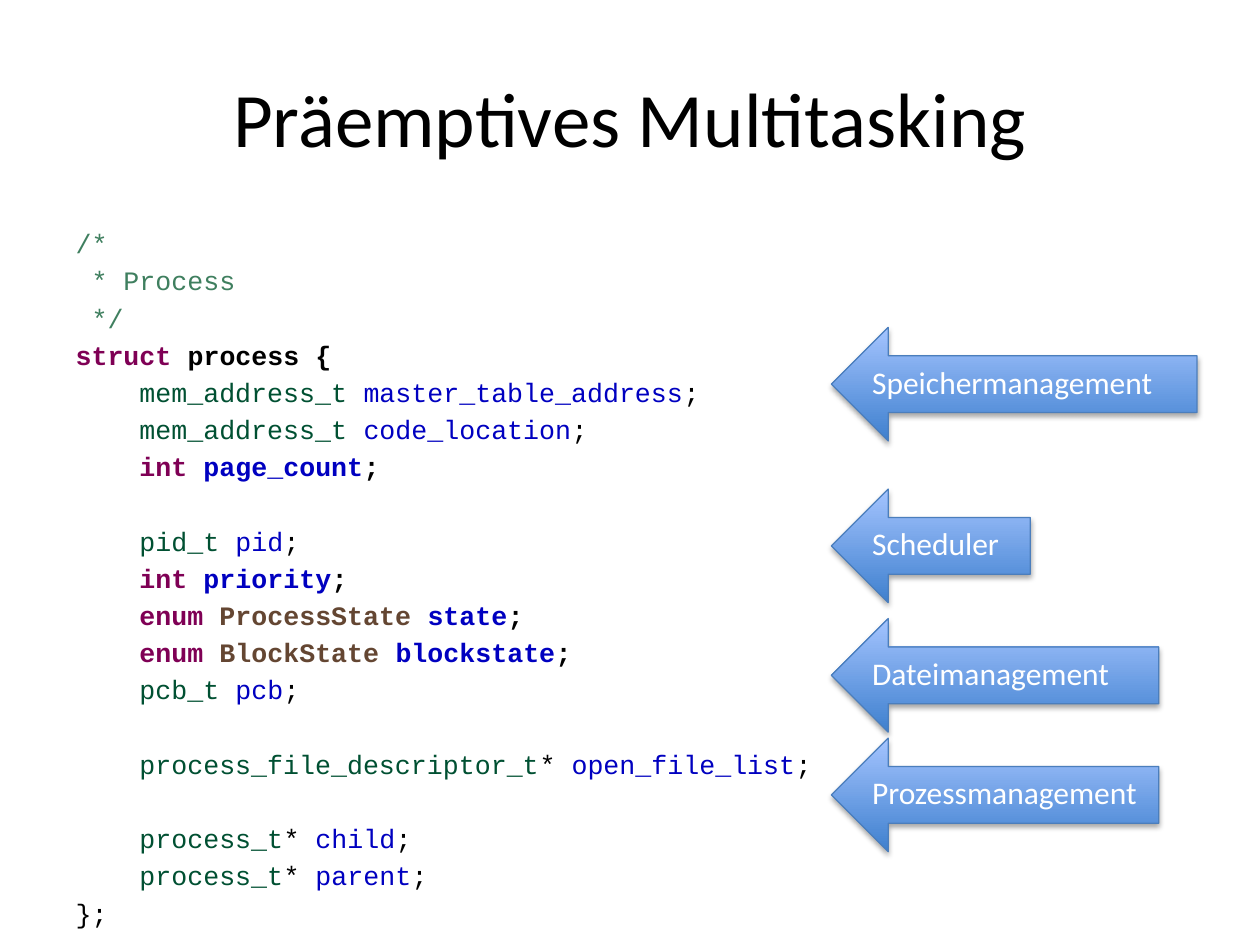
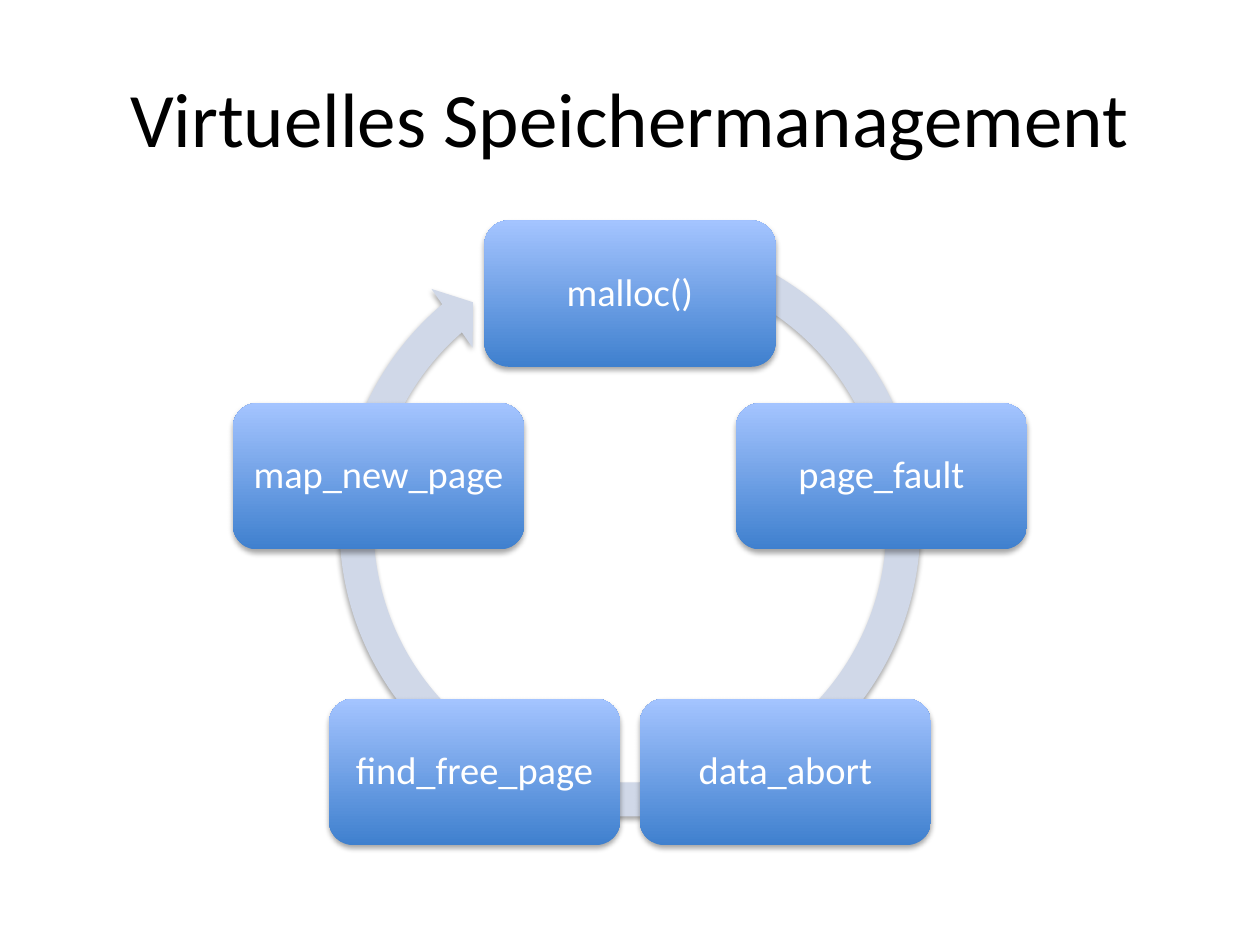
from math import cos, radians, sin

from lxml import etree
from pptx import Presentation
from pptx.dml.color import RGBColor
from pptx.enum.shapes import MSO_SHAPE
from pptx.enum.text import MSO_ANCHOR, MSO_AUTO_SIZE, PP_ALIGN
from pptx.oxml import parse_xml
from pptx.oxml.ns import nsdecls, qn
from pptx.util import Cm, Pt

LEFT_ARROW = MSO_SHAPE.LEFT_ARROW
CYCLE_ARROW = MSO_SHAPE.CIRCULAR_ARROW
ROUNDED = MSO_SHAPE.ROUNDED_RECTANGLE
MIDDLE = MSO_ANCHOR.MIDDLE
LEFT, CENTER = PP_ALIGN.LEFT, PP_ALIGN.CENTER
NO_AUTOFIT = MSO_AUTO_SIZE.NONE

BLACK = RGBColor(0x00, 0x00, 0x00)
WHITE = RGBColor(0xFF, 0xFF, 0xFF)
COMMENT = RGBColor(0x3F, 0x7F, 0x5F)
KEYWORD = RGBColor(0x7F, 0x00, 0x55)
TYPE = RGBColor(0x00, 0x50, 0x32)
ENUM = RGBColor(0x64, 0x46, 0x32)
FIELD = RGBColor(0x00, 0x00, 0xC0)
DARK_BLUE = RGBColor(0x3F, 0x80, 0xCE)
LIGHT_BLUE = RGBColor(0xA4, 0xC4, 0xFF)
OUTLINE = RGBColor(0x4B, 0x7E, 0xBC)
PALE_BLUE = RGBColor(0xD0, 0xD8, 0xE8)

TEXT_FONT, CODE_FONT = "Calibri", "Courier New"
CODE_SIZE = 15.2
CODE_INDENT = Pt(4 * 0.6 * CODE_SIZE)  # four monospaced characters
LINE_GAP = Pt(0.2 * CODE_SIZE)
SECTION_GAP = Pt(24.25)  # one empty line more

# Content: slide 1
PROCESS_TITLE = "Präemptives Multitasking"
CODE_OPENING = [
    [("/*", COMMENT)],
    [(" * Process", COMMENT)],
    [(" */", COMMENT)],
    [("struct ", KEYWORD), ("process {", BLACK)],
]
# Groups of struct members: type parts, then the member's name
MEMBER_GROUPS = [
    [
        ([("mem_address_t ", TYPE)], "master_table_address"),
        ([("mem_address_t ", TYPE)], "code_location"),
        ([("int ", KEYWORD)], "page_count"),
    ],
    [
        ([("pid_t ", TYPE)], "pid"),
        ([("int ", KEYWORD)], "priority"),
        ([("enum ", KEYWORD), ("ProcessState ", ENUM)], "state"),
        ([("enum ", KEYWORD), ("BlockState ", ENUM)], "blockstate"),
        ([("pcb_t ", TYPE)], "pcb"),
    ],
    [([("process_file_descriptor_t", TYPE), ("* ", BLACK)], "open_file_list")],
    [
        ([("process_t", TYPE), ("* ", BLACK)], "child"),
        ([("process_t", TYPE), ("* ", BLACK)], "parent"),
    ],
]
CODE_CLOSING = [("};", BLACK)]
# Label, top and width in cm
MANAGERS = [
    ("Speichermanagement", 6.6, 7.37),
    ("Scheduler", 9.86, 4.01),
    ("Dateimanagement", 12.47, 6.6),
    ("Prozessmanagement", 14.88, 6.6),
]

# Content: slide 2, clockwise from the top
MEMORY_TITLE = "Virtuelles Speichermanagement"
MEMORY_STEPS = ["malloc()", "page_fault", "data_abort", "find_free_page", "map_new_page"]
CYCLE_X, CYCLE_Y, CYCLE_RADIUS = 12.7, 11.25, 5.33
STEP_WIDTH, STEP_HEIGHT = 5.87, 2.95
RING_TOP, RING_SIZE = 4.37, 12.47
RING_THICKNESS, RING_HEAD = 5.5 / 100, 5.8 / 100
RING_ANGLES = (5.51, 229.43, 289.87)  # head, end and start in degrees


def add_page(deck, layout, title):
    page = deck.slides.add_slide(deck.slide_layouts[layout])
    box = page.shapes.title
    box.left, box.top, box.width, box.height = Cm(1.27), Cm(0.76), Cm(22.86), Cm(3.18)
    box.text_frame.vertical_anchor = MIDDLE
    write(box.text_frame.paragraphs[0], title, 44, BLACK, CENTER)
    return page


def write(para, text, size, color, align):
    para.text = text
    para.alignment = align
    para.font.name, para.font.size = TEXT_FONT, Pt(size)
    para.font.color.rgb = color


def add_shadow(shape):
    shape.shadow.inherit = False
    effects = shape._element.spPr.find(qn("a:effectLst"))
    effects.append(parse_xml(
        f'<a:outerShdw {nsdecls("a")} blurRad="40000" dist="23000" dir="5400000" '
        'rotWithShape="0"><a:srgbClr val="000000"><a:alpha val="35000"/>'
        '</a:srgbClr></a:outerShdw>'))


def add_blue_shape(page, kind, left, top, width, height, text, size, align):
    shape = page.shapes.add_shape(kind, Cm(left), Cm(top), Cm(width), Cm(height))
    shape.fill.gradient()
    shape.fill.gradient_angle = 90
    for stop, color in zip(shape.fill.gradient_stops, (DARK_BLUE, LIGHT_BLUE)):
        stop.color.rgb = color
    add_shadow(shape)
    shape.text_frame.vertical_anchor = MIDDLE
    write(shape.text_frame.paragraphs[0], text, size, WHITE, align)
    return shape


def add_code_line(para, spans, indented=False, gap=LINE_GAP):
    para.space_before = gap
    para.font.name, para.font.size = CODE_FONT, Pt(CODE_SIZE)
    para.font.bold = spans[0][1] == KEYWORD
    properties = para._p.get_or_add_pPr()
    properties.set("marL", str(CODE_INDENT if indented else 0))
    properties.set("indent", "0")
    spacing = properties.find(qn("a:spcBef"))
    spacing.addnext(etree.Element(qn("a:buNone")))
    for text, color in spans:
        span = para.add_run()
        span.text = text
        span.font.color.rgb = color


def build_process_page(deck):
    page = add_page(deck, 1, PROCESS_TITLE)

    # Struct listing
    body = page.placeholders[1]
    body.left, body.top, body.width, body.height = Cm(1.27), Cm(4.45), Cm(22.86), Cm(12.57)
    frame = body.text_frame
    frame.auto_size = NO_AUTOFIT
    lines = [(spans, False, LINE_GAP) for spans in CODE_OPENING]
    for group_number, group in enumerate(MEMBER_GROUPS):
        for number, (type_spans, name) in enumerate(group):
            gap = SECTION_GAP if group_number and number == 0 else LINE_GAP
            lines.append((type_spans + [(name, FIELD), (";", BLACK)], True, gap))
    lines.append((CODE_CLOSING, False, LINE_GAP))
    for number, line in enumerate(lines):
        para = frame.add_paragraph() if number else frame.paragraphs[0]
        add_code_line(para, *line)

    # Arrows naming the responsible part of the system
    for label, top, width in MANAGERS:
        arrow = add_blue_shape(page, LEFT_ARROW, 16.76, top, width, 2.29, label, 18, LEFT)
        arrow.line.color.rgb = OUTLINE
        arrow.line.width = Pt(0.75)
        arrow.text_frame.margin_bottom = Cm(0.23)


def build_memory_page(deck):
    page = add_page(deck, 5, MEMORY_TITLE)

    # Ring behind the steps
    ring = page.shapes.add_shape(CYCLE_ARROW, Cm(CYCLE_X - RING_SIZE / 2), Cm(RING_TOP),
                                 Cm(RING_SIZE), Cm(RING_SIZE))
    angles = [degrees * 0.6 for degrees in RING_ANGLES]
    for number, value in enumerate([RING_THICKNESS, *angles, RING_HEAD]):
        ring.adjustments[number] = value
    ring.fill.solid()
    ring.fill.fore_color.rgb = PALE_BLUE
    ring.line.fill.background()
    add_shadow(ring)

    # Steps evenly spaced round the circle
    for number, label in enumerate(MEMORY_STEPS):
        angle = radians(360 / len(MEMORY_STEPS) * number)
        left = CYCLE_X + CYCLE_RADIUS * sin(angle) - STEP_WIDTH / 2
        top = CYCLE_Y - CYCLE_RADIUS * cos(angle) - STEP_HEIGHT / 2
        step = add_blue_shape(page, ROUNDED, left, top, STEP_WIDTH, STEP_HEIGHT,
                              label, 22, CENTER)
        step.line.fill.background()
        frame = step.text_frame
        frame.margin_left = frame.margin_right = Cm(0.23)
        frame.margin_top = frame.margin_bottom = Cm(0.23)
        frame.paragraphs[0].line_spacing = 0.9


def main():
    deck = Presentation()
    deck.slide_width, deck.slide_height = Cm(25.4), Cm(19.05)
    build_process_page(deck)
    build_memory_page(deck)
    deck.save("out.pptx")


if __name__ == "__main__":
    main()
